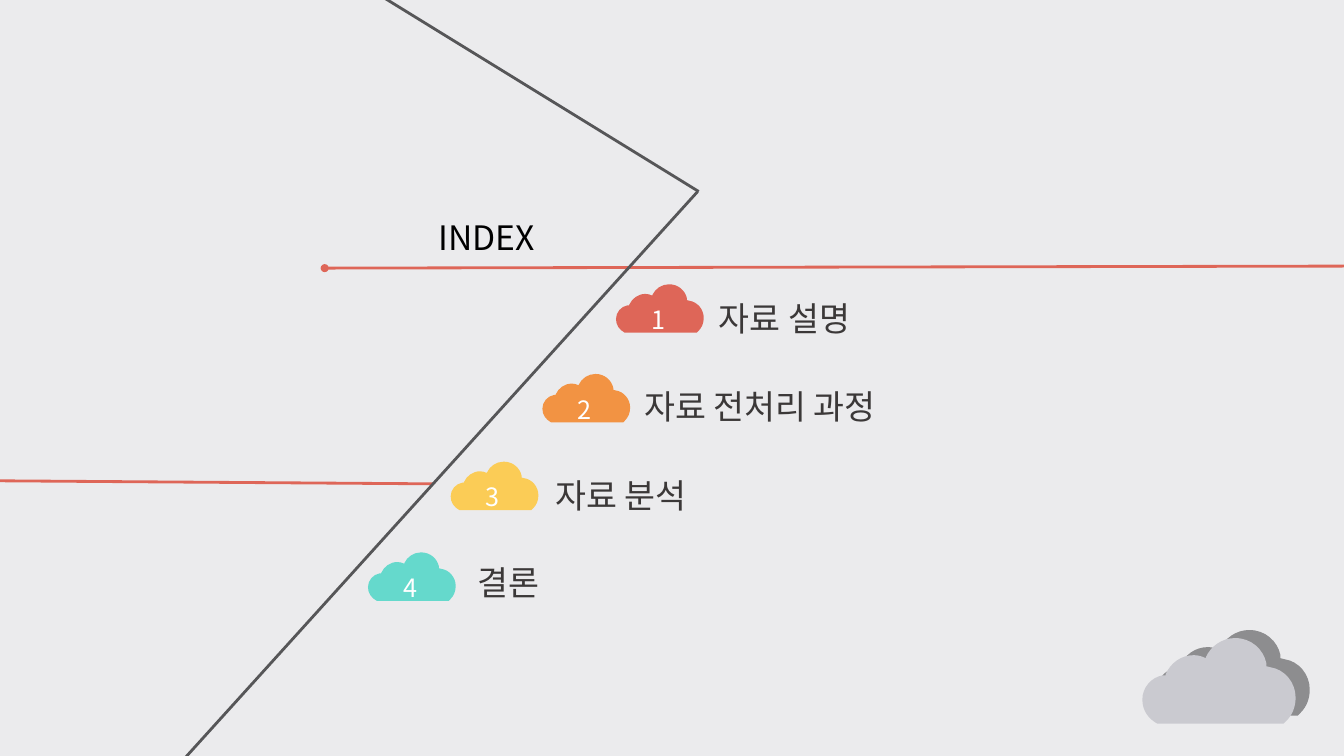
from lxml import etree
from pptx import Presentation
from pptx.dml.color import RGBColor
from pptx.enum.shapes import MSO_CONNECTOR, MSO_SHAPE
from pptx.enum.text import MSO_AUTO_SIZE
from pptx.oxml.ns import qn
from pptx.util import Inches, Pt

FONT = "Noto Sans CJK KR"
COLORS = {
    "background": "EBEBED", "red": "DE6658", "orange": "F29343",
    "yellow": "FBCC56", "teal": "65D9CC", "graphite": "565658",
    "title": "000000", "label": "3B3838", "white": "FFFFFF",
    "cloud_back": "8D8D8F", "cloud_front": "CACAD0",
}

# label, colour, cloud left and top, label left, top and width
ITEMS = [
    ("자료 설명", "red", 6.11, 2.82, 7.03, 2.91, 1.92),
    ("자료 전처리 과정", "orange", 5.38, 3.71, 6.29, 3.78, 2.91),
    ("자료 분석", "yellow", 4.47, 4.58, 5.41, 4.66, 2.12),
    ("결론", "teal", 3.65, 5.48, 4.64, 5.53, 2.14),
]

# from, to, colour
LINES = [
    ((3.22, 2.66), (13.33, 2.64), "red"),
    ((3.65, -0.12), (6.93, 1.9), "graphite"),
    ((-0.03, 4.77), (4.3, 4.8), "red"),
    ((1.78, 7.58), (6.92, 1.9), "graphite"),
]

# Each step is one point (straight) or three points (cubic curve)
CLOUD_SIZE = (1.52, 0.85)
SMALL_CLOUD = (0.87, 0.48)
CLOUD_START = (0.92, 0)
CLOUD_STEPS = [
    [(1.08, 0), (1.2, 0.11), (1.23, 0.25)],
    [(1.23, 0.28)],
    [(1.27, 0.29)],
    [(1.41, 0.31), (1.52, 0.44), (1.52, 0.59)],
    [(1.52, 0.68), (1.49, 0.76), (1.43, 0.82)],
    [(1.4, 0.85)],
    [(0.16, 0.85)],
    [(0.15, 0.85)],
    [(0.06, 0.8), (0, 0.72), (0, 0.61)],
    [(0, 0.49), (0.09, 0.39), (0.2, 0.37)],
    [(0.23, 0.37)],
    [(0.23, 0.36)],
    [(0.28, 0.25), (0.38, 0.17), (0.51, 0.17)],
    [(0.55, 0.17), (0.59, 0.18), (0.63, 0.2)],
    [(0.63, 0.2)],
    [(0.63, 0.19)],
    [(0.68, 0.08), (0.79, 0), (0.92, 0)],
]


def rgb(name):
    return RGBColor.from_string(COLORS[name])


def paint(sp, color):
    sp.shadow.inherit = False
    sp.fill.solid()
    sp.fill.fore_color.rgb = rgb(color)
    sp.line.fill.background()


def bend(sp, steps):
    """Turn the three line segments of each curved step into one cubic curve."""
    segments = iter(list(sp._element.iter(qn("a:lnTo"))))
    for step in steps:
        parts = [next(segments) for _ in step]
        if len(parts) == 3:
            parts[0].tag  # the first segment marks where the curve goes
            curve = etree.Element(qn("a:cubicBezTo"))
            parts[0].addprevious(curve)
            for part in parts:
                curve.append(part[0])
                part.getparent().remove(part)


def add_cloud(slide, left, top, size, color):
    sx, sy = (size[axis] / CLOUD_SIZE[axis] for axis in (0, 1))
    outline = [CLOUD_START] + [point for step in CLOUD_STEPS for point in step]
    points = [(Inches(left + x * sx), Inches(top + y * sy)) for x, y in outline]
    builder = slide.shapes.build_freeform(*points[0])
    builder.add_line_segments(points[1:], close=True)
    cloud = builder.convert_to_shape()
    bend(cloud, CLOUD_STEPS)
    paint(cloud, color)


def add_line(slide, start, end, color):
    line = slide.shapes.add_connector(
        MSO_CONNECTOR.STRAIGHT, *(Inches(v) for v in start + end))
    line.line.color.rgb = rgb(color)
    line.line.width = Pt(2)
    etree.SubElement(line._element.spPr, qn("a:effectLst"))


def add_text(slide, text, box, size, color, wrap=True):
    tf = slide.shapes.add_textbox(*(Inches(v) for v in box)).text_frame
    tf.word_wrap = wrap
    tf.auto_size = MSO_AUTO_SIZE.SHAPE_TO_FIT_TEXT
    r = tf.paragraphs[0].add_run()
    r.text = text
    r.font.size = Pt(size)
    r.font.name = FONT
    r.font.color.rgb = rgb(color)
    etree.SubElement(r.font._element, qn("a:ea")).set("typeface", FONT)


def main():
    prs = Presentation()
    prs.slide_width, prs.slide_height = Inches(13.33), Inches(7.5)
    s = prs.slides.add_slide(prs.slide_layouts[6])
    s.background.fill.solid()
    s.background.fill.fore_color.rgb = rgb("background")

    for start, end, color in LINES:
        add_line(s, start, end, color)
    add_text(s, "INDEX", (4.25, 2.1, 1.33, 0.5), 24, "title")

    for number, (label, color, left, top, *label_box) in enumerate(ITEMS, 1):
        add_text(s, label, (*label_box, 0.5), 24, "label")
        add_cloud(s, left, top, SMALL_CLOUD, color)
        add_text(s, str(number), (left + 0.25, top + 0.15, 0.37, 0.4), 18, "white", wrap=False)

    add_cloud(s, 11.47, 6.25, CLOUD_SIZE, "cloud_back")
    add_cloud(s, 11.33, 6.33, CLOUD_SIZE, "cloud_front")

    dot = s.shapes.add_shape(
        MSO_SHAPE.OVAL, Inches(3.18), Inches(2.62), Inches(0.08), Inches(0.08))
    paint(dot, "red")

    prs.save("out.pptx")


if __name__ == "__main__":
    main()
